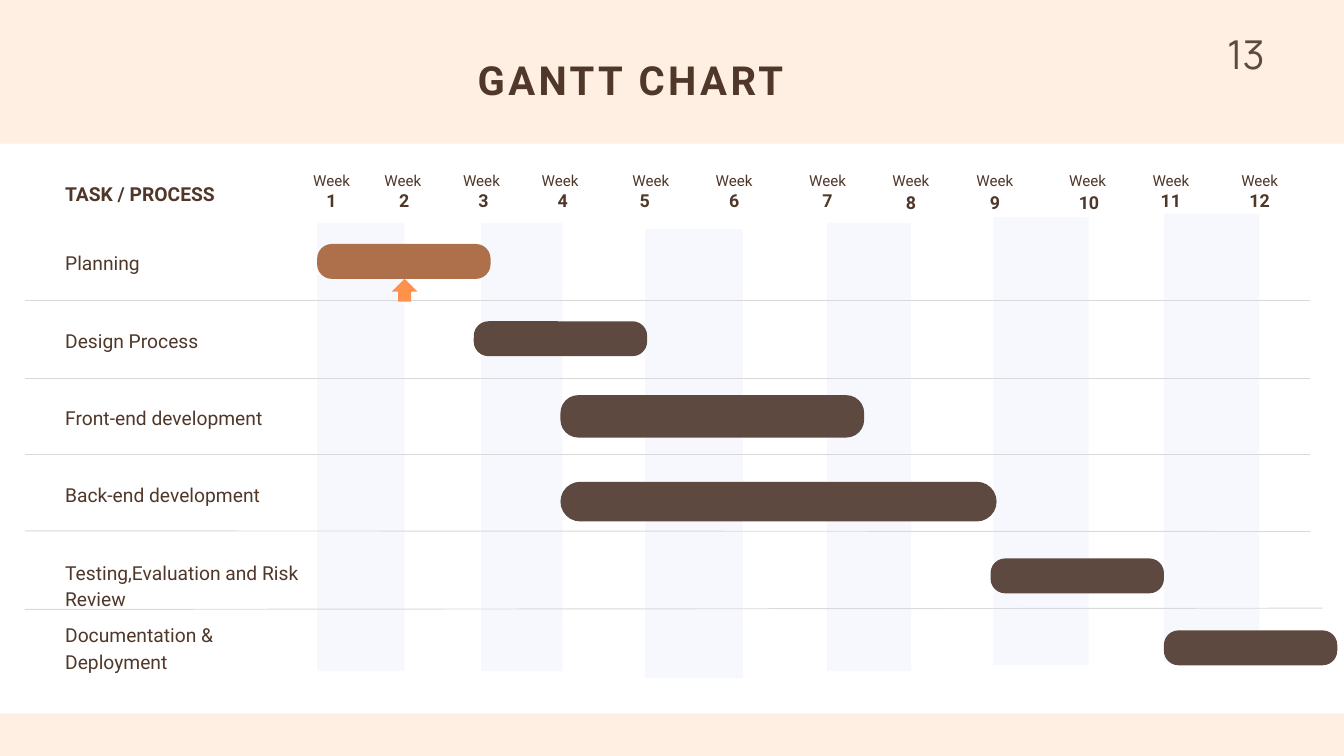
from lxml import etree
from pptx import Presentation
from pptx.dml.color import RGBColor
from pptx.enum.shapes import MSO_CONNECTOR, MSO_SHAPE
from pptx.enum.text import PP_ALIGN
from pptx.oxml.ns import qn
from pptx.util import Pt

RECT = MSO_SHAPE.RECTANGLE
ROUND = MSO_SHAPE.ROUNDED_RECTANGLE
UP_ARROW = MSO_SHAPE.UP_ARROW
STRAIGHT = MSO_CONNECTOR.STRAIGHT
LEFT, CENTER = PP_ALIGN.LEFT, PP_ALIGN.CENTER

PEACH = RGBColor(0xFF, 0xEE, 0xE2)
WHITE = RGBColor(0xFF, 0xFF, 0xFF)
LAVENDER = RGBColor(0xF7, 0xF8, 0xFD)
BROWN = RGBColor(0x5D, 0x49, 0x40)
COPPER = RGBColor(0xAD, 0x70, 0x4B)
ORANGE = RGBColor(0xFF, 0x91, 0x4D)
GREY = RGBColor(0xD9, 0xD9, 0xD9)
INK = RGBColor(0x4F, 0x37, 0x29)

# Left, top, width, height
STRIPES = [
    (339.8, 239, 93.6, 480.2),
    (515.5, 239, 87.1, 480.2),
    (691.2, 245.5, 104.8, 481),
    (886.3, 239, 90, 480.2),
    (1064.2, 232.6, 102.2, 480.2),
    (1247, 229, 102.2, 480.2),
]

# Name, label top, bar left, top, width, height, colour, corner
TASKS = [
    ("Planning", 265.7, 339.8, 261.4, 185.8, 37.4, COPPER, 0.42),
    ("Design Process", 348.5, 507.6, 344.2, 185.8, 37.4, BROWN, 0.42),
    ("Front-end development", 431.3, 600.5, 423.4, 325.4, 45.4, BROWN, 0.42),
    ("Back-end development", 514.1, 600.5, 516.2, 467.3, 42.5, BROWN, 0.5),
    ("Testing,Evaluation and Risk Review", 596.9, 1061.3, 598.3, 185.8, 37.4, BROWN, 0.42),
    ("Documentation & Deployment", 663.8, 1247, 675.4, 185.8, 37.4, BROWN, 0.42),
]

# Start y, end x, end y
ROW_LINES = [
    (321.8, 1404, 321.8),
    (405.4, 1404, 405.4),
    (486.7, 1404, 486.7),
    (568.8, 1404, 569.5),
    (653, 1417, 651.6),
]

# Left of "Week", left and top of the number
WEEKS = [
    (321.8, 321.8, 205.9),
    (398.2, 399.6, 205.9),
    (482.4, 484.6, 205.9),
    (566.6, 569.5, 205.9),
    (663.8, 657.4, 205.9),
    (753.1, 753.1, 205.9),
    (853.2, 853.2, 205.9),
    (942.5, 942.5, 208.1),
    (1032.5, 1032.5, 208.1),
    (1131.8, 1133.3, 208.1),
    (1221.1, 1221.1, 205.9),
    (1316.2, 1316.2, 205.9),
]


class GanttSlide:
    def __init__(self, prs, font="Roboto", ink=INK):
        self.font, self.ink = font, ink
        self.s = prs.slides.add_slide(prs.slide_layouts[6])
        fill = self.s.background.fill
        fill.solid()
        fill.fore_color.rgb = PEACH

    def shape(self, kind, x, y, w, h, color, adjustments=()):
        sp = self.s.shapes.add_shape(kind, Pt(x), Pt(y), Pt(w), Pt(h))
        sp.shadow.inherit = False
        sp.fill.solid()
        sp.fill.fore_color.rgb = color
        sp.line.fill.background()
        for i, value in enumerate(adjustments):
            sp.adjustments[i] = value

    def line(self, x1, y1, x2, y2):
        sp = self.s.shapes.add_connector(STRAIGHT, Pt(x1), Pt(y1), Pt(x2), Pt(y2))
        sp.line.color.rgb = GREY
        sp.line.width = Pt(1)
        etree.SubElement(sp._element.spPr, qn("a:effectLst"))

    def text(self, text, x, y, w, h, *, size, leading, bold=False,
             align=LEFT, font=None, color=None, tracking=0):
        sp = self.s.shapes.add_textbox(Pt(x), Pt(y), Pt(w), Pt(h))
        tf = sp.text_frame
        tf.word_wrap = True
        tf.margin_left = tf.margin_right = tf.margin_top = tf.margin_bottom = 0
        p = tf.paragraphs[0]
        p.alignment = align
        p.line_spacing = Pt(leading)
        r = p.add_run()
        r.text = text
        r.font.name = font or self.font
        r.font.size = Pt(size)
        r.font.bold = bold
        r.font.color.rgb = color or self.ink
        if tracking:
            r.font._element.set("spc", str(round(tracking * 100)))

    def row_label(self, text, y, bold=False):
        self.text(text, 69.8, y, 251.3, 26.6, size=20.6, leading=28.8, bold=bold)

    def week(self, number, word_x, number_x, number_y):
        self.text("Week", word_x, 185.8, 67, 17.3, size=16.2, leading=17, align=CENTER)
        self.text(str(number), number_x, number_y, 67, 20.9, size=19.1, leading=20,
                  bold=True, align=CENTER)


def main():
    prs = Presentation()
    prs.slide_width, prs.slide_height = Pt(1440), Pt(810)
    gantt = GanttSlide(prs)

    gantt.shape(ROUND, -5.8, 154, 1451.6, 610.4, WHITE, [0.01])
    for stripe in STRIPES:
        gantt.shape(RECT, *stripe, LAVENDER)
    for y1, x2, y2 in ROW_LINES:
        gantt.line(26.6, y1, x2, y2)

    gantt.row_label("TASK / PROCESS", 191.5, bold=True)
    for name, label_y, x, y, w, h, color, corner in TASKS:
        gantt.shape(ROUND, x, y, w, h, color, [corner])
        gantt.row_label(name, label_y)
    for number, place in enumerate(WEEKS, 1):
        gantt.week(number, *place)

    gantt.shape(UP_ARROW, 419.8, 298.8, 27.4, 24.5, ORANGE, [0.5, 0.56])
    gantt.text("GANTT CHART", 448.6, 50.4, 454.3, 56.2, size=42.9, leading=60.1,
               bold=True, align=CENTER, tracking=3.7)
    gantt.text("13", 1270, 23, 129.6, 57.6, size=42.6, leading=59.6,
               align=CENTER, font="Manrope", color=BROWN)
    prs.save("out.pptx")


if __name__ == "__main__":
    main()
